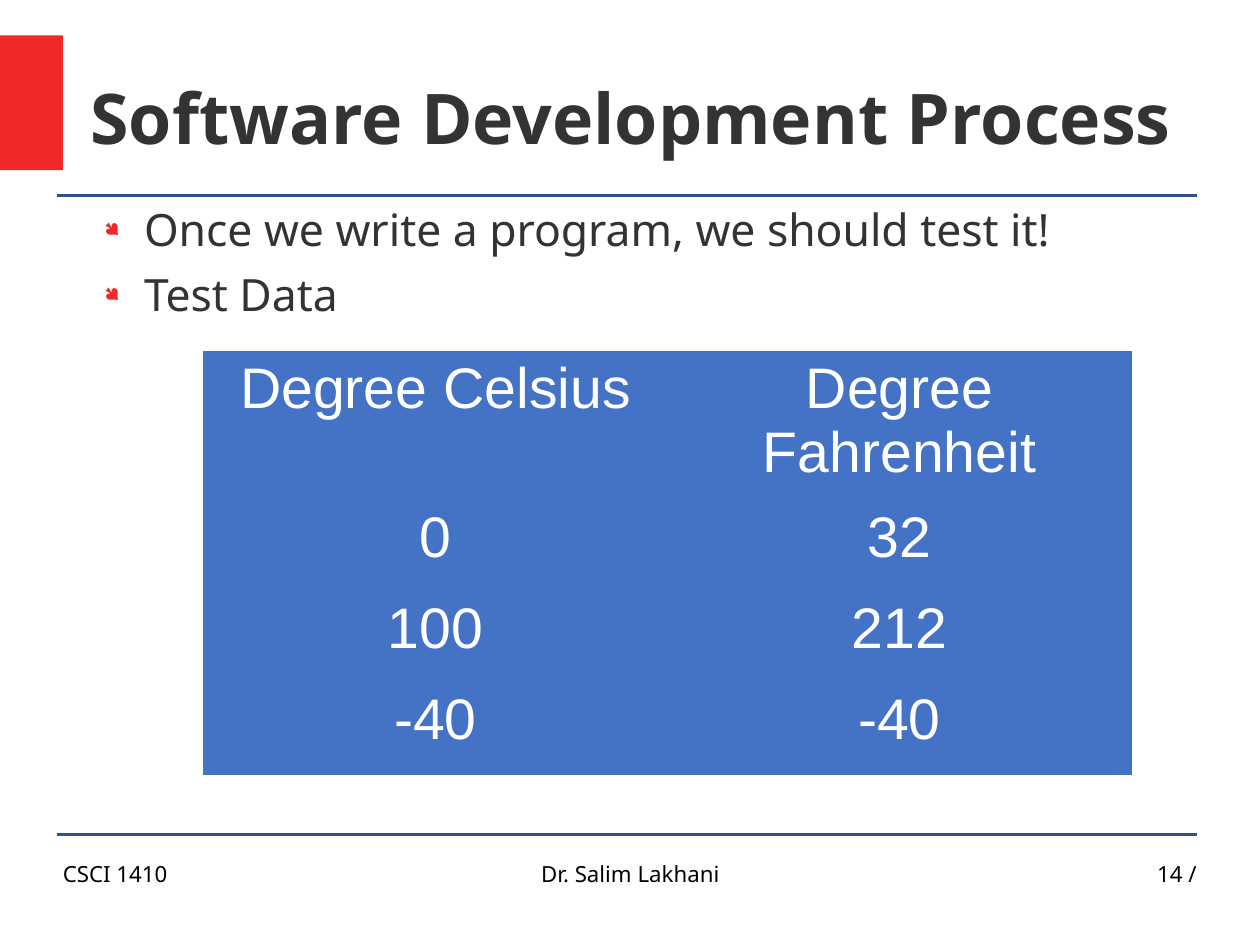
from lxml import etree
from pptx import Presentation
from pptx.dml.color import RGBColor
from pptx.enum import shapes, text
from pptx.oxml import ns
from pptx.util import Inches, Pt

# Content
PAGE_SIZE = (28 / 2.54, 21 / 2.54)  # 28 by 21 cm
TITLE = "Software Development Process"
POINTS = ["Once we write a program, we should test it!", "Test Data"]
TEST_DATA = [
    ("Degree Celsius", "Degree Fahrenheit"),
    ("0", "32"),
    ("100", "212"),
    ("-40", "-40"),
]
LEFT, CENTER, RIGHT = text.PP_ALIGN.LEFT, text.PP_ALIGN.CENTER, text.PP_ALIGN.RIGHT
FOOTER = [  # wording, left, width, alignment
    ("CSCI 1410", 0.55, 2.57, LEFT),
    ("Dr. Salim Lakhani", 3.77, 3.49, CENTER),
    ("14 /", 7.9, 2.57, RIGHT),
]
RULES = [1.71, 7.3]
RULE_LEFT, RULE_RIGHT = 0.5, 10.47
ROW_HEIGHTS = [1.25, 0.8, 0.8, 0.81]
COLUMN_WIDTH = 4.06
RED, BLUE, NAVY = "EF2929", "4472C4", "2F528F"
GRAY, BLACK, WHITE = "333333", "000000", "FFFFFF"


def color(value):
    return RGBColor.from_string(value)


def style(font, name, size, ink, bold=False):
    font.name, font.size, font.bold = name, Pt(size), bold
    font.color.rgb = color(ink)


def add_text(page, place, lines, size, ink, align=LEFT, bold=False,
             anchor=text.MSO_ANCHOR.TOP):
    frame = page.shapes.add_textbox(*map(Inches, place)).text_frame
    frame.word_wrap = True
    frame.vertical_anchor = anchor
    frame.margin_left = frame.margin_right = 0
    frame.margin_top = frame.margin_bottom = 0
    frame.text = "\n".join(lines)
    for para in frame.paragraphs:
        para.alignment = align
        style(para.font, "Noto Sans", size, ink, bold)
    return frame


def add_bullet(para):
    props = para._p.get_or_add_pPr()
    props.set("marL", str(Inches(0.47)))
    props.set("indent", str(Inches(-0.35)))
    bullet_color = etree.SubElement(props, ns.qn("a:buClr"))
    etree.SubElement(bullet_color, ns.qn("a:srgbClr"), val=RED)
    etree.SubElement(props, ns.qn("a:buSzPct"), val="45000")
    etree.SubElement(props, ns.qn("a:buFont"), typeface="Wingdings", charset="2")
    etree.SubElement(props, ns.qn("a:buChar"), char="●")
    # Default run properties come last in the paragraph properties
    props.append(props.find(ns.qn("a:defRPr")))


def main():
    deck = Presentation()
    deck.slide_width, deck.slide_height = map(Inches, PAGE_SIZE)
    page = deck.slides.add_slide(deck.slide_layouts[6])

    # Red block and horizontal rules
    block = page.shapes.add_shape(shapes.MSO_SHAPE.RECTANGLE, 0, Inches(0.31),
                                  Inches(0.55), Inches(1.18))
    block.shadow.inherit = False
    block.fill.solid()
    block.fill.fore_color.rgb = color(RED)
    block.line.fill.background()
    for y in RULES:
        rule = page.shapes.add_connector(
            shapes.MSO_CONNECTOR.STRAIGHT, Inches(RULE_LEFT), Inches(y),
            Inches(RULE_RIGHT), Inches(y))
        rule.line.color.rgb = color(NAVY)
        rule.line.width = Pt(1.45)
        etree.SubElement(rule._element.spPr, ns.qn("a:effectLst"))

    # Footer, title and bullet points
    for wording, left, width, align in FOOTER:
        add_text(page, (left, 7.53, width, 0.57), [wording], 14, BLACK, align)
    add_text(page, (0.79, 0.33, 9.68, 1.38), [TITLE], 44, GRAY, bold=True,
             anchor=text.MSO_ANCHOR.MIDDLE)
    body = add_text(page, (0.79, 1.77, 9.45, 5.43), POINTS, 28, GRAY)
    for para in body.paragraphs:
        para.space_after = Pt(7.2)
        add_bullet(para)

    # Table of test data
    columns = len(TEST_DATA[0])
    table = page.shapes.add_table(
        len(TEST_DATA), columns, Inches(1.78), Inches(3.07),
        Inches(COLUMN_WIDTH * columns), Inches(sum(ROW_HEIGHTS))).table
    table.first_row = table.horz_banding = False
    # Plain style without grid lines
    table._tbl.tblPr.find(ns.qn("a:tableStyleId")).text = \
        "{2D5ABB26-0587-4C30-8999-92F81FD0307C}"
    for column in table.columns:
        column.width = Inches(COLUMN_WIDTH)
    for row, height, values in zip(table.rows, ROW_HEIGHTS, TEST_DATA):
        row.height = Inches(height)
        for cell, value in zip(row.cells, values):
            cell.text = value
            cell.fill.solid()
            cell.fill.fore_color.rgb = color(BLUE)
            para = cell.text_frame.paragraphs[0]
            para.alignment = CENTER
            # Row heights follow the size set on the run
            style(para.runs[0].font, "Arial", 36, WHITE)

    deck.save("out.pptx")


if __name__ == "__main__":
    main()
